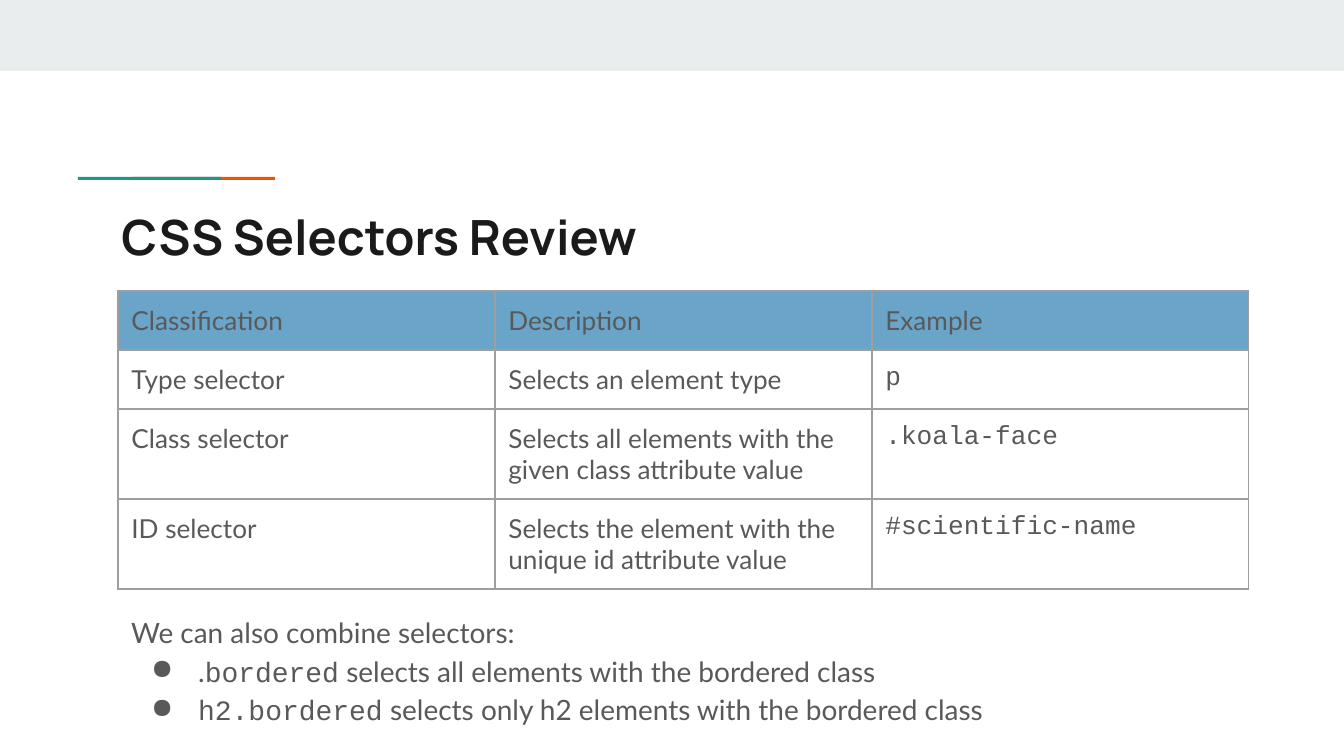
from lxml.etree import SubElement
from pptx import Presentation
from pptx.dml.color import RGBColor
from pptx.enum.shapes import MSO_SHAPE
from pptx.enum.text import MSO_ANCHOR, MSO_AUTO_SIZE, PP_ALIGN
from pptx.oxml.ns import qn
from pptx.util import Pt

BAND = RGBColor(0xE9, 0xED, 0xEE)
ORANGE = RGBColor(0xEB, 0x56, 0x00)
TEAL = RGBColor(0x1A, 0x99, 0x88)
INK = RGBColor(0x1A, 0x1A, 0x1A)
GRAY = RGBColor(0x59, 0x59, 0x59)
HEADER = RGBColor(0x6A, 0xA4, 0xC8)
BORDER = RGBColor(0x9E, 0x9E, 0x9E)
SANS, MONO = "Lato", "Courier New"

TITLE = "CSS Selectors Review"
ROWS = [
    ("Classification", "Description", "Example"),
    ("Type selector", "Selects an element type", "p"),
    ("Class selector", "Selects all elements with the given class attribute value",
     ".koala-face"),
    ("ID selector", "Selects the element with the unique id attribute value",
     "#scientific-name"),
]
ROW_HEIGHTS = [59, 59, 90, 90]
COL_WIDTH = 377
INTRO = [("We can also combine selectors:", SANS)]
BULLETS = [
    [(".", SANS), ("bordered", MONO),
     (" selects all elements with the bordered class", SANS)],
    [("h2.bordered", MONO),
     (" selects only h2 elements with the bordered class", SANS)],
]
BARS = [  # left, top, width, height, colour
    (0, 0, 1344, 71, BAND),
    (132, 177, 143, 3, ORANGE),
    (78, 177, 143, 3, TEAL),
]


def px(n):
    return round(n * 914400 / 134.4)


def place(sp, left, top, width, height):
    sp.left, sp.top, sp.width, sp.height = map(px, (left, top, width, height))


def set_insets(box):
    """Give a text frame or a table cell equal margins."""
    box.margin_left = box.margin_right = box.margin_top = box.margin_bottom = px(13.44)


def add_run(p, text, font, size, color=GRAY, bold=False):
    r = p.add_run()
    r.text = text
    r.font.name, r.font.size, r.font.bold = font, Pt(size), bold
    r.font.color.rgb = color


def add_solid(parent, color):
    fill = SubElement(parent, qn("a:solidFill"))
    SubElement(fill, qn("a:srgbClr"), val=str(color))


def set_bullet(p):
    pPr = p._p.get_or_add_pPr()
    pPr.set("marL", str(px(67)))
    pPr.set("indent", str(px(-47)))
    SubElement(SubElement(pPr, qn("a:buClr")), qn("a:srgbClr"), val=str(GRAY))
    SubElement(pPr, qn("a:buChar"), char="●")


def set_borders(cell):
    tcPr = cell._tc.get_or_add_tcPr()
    for side in ("lnL", "lnR", "lnT", "lnB"):
        add_solid(SubElement(tcPr, qn(f"a:{side}"), w=str(Pt(0.75))), BORDER)


prs = Presentation()
prs.slide_width, prs.slide_height = px(1344), px(756)
s = prs.slides.add_slide(prs.slide_layouts[5])

for *box, color in BARS:
    sp = s.shapes.add_shape(MSO_SHAPE.RECTANGLE, *map(px, box))
    sp.shadow.inherit = False
    sp.fill.solid()
    sp.fill.fore_color.rgb = color
    sp.line.fill.background()

title = s.shapes.title
place(title, 108, 194, 1130, 79)
tf = title.text_frame
tf.auto_size = MSO_AUTO_SIZE.NONE
tf.vertical_anchor = MSO_ANCHOR.TOP
set_insets(tf)
p = tf.paragraphs[0]
p.alignment = PP_ALIGN.LEFT
add_run(p, TITLE, "Manrope", 26, INK, True)

tf = s.shapes.add_textbox(*map(px, (118, 597, 1130, 136))).text_frame
tf.word_wrap = True
set_insets(tf)
for i, runs in enumerate([INTRO] + BULLETS):
    p = tf.add_paragraph() if i else tf.paragraphs[0]
    p.line_spacing = 1.15
    if i:
        set_bullet(p)
    for text, font in runs:
        add_run(p, text, font, 15)

cols = len(ROWS[0])
table = s.shapes.add_table(
    len(ROWS), cols, px(118), px(291), px(COL_WIDTH * cols), px(sum(ROW_HEIGHTS))
).table
table.first_row = table.horz_banding = False
for col in table.columns:
    col.width = px(COL_WIDTH)
for i, (texts, height) in enumerate(zip(ROWS, ROW_HEIGHTS)):
    table.rows[i].height = px(height)
    for j, text in enumerate(texts):
        cell = table.cell(i, j)
        set_insets(cell)
        set_borders(cell)
        if i == 0:
            cell.fill.solid()
            cell.fill.fore_color.rgb = HEADER
        else:
            cell.fill.background()
        font = MONO if i and j == cols - 1 else SANS
        add_run(cell.text_frame.paragraphs[0], text, font, 14)

prs.save("out.pptx")
